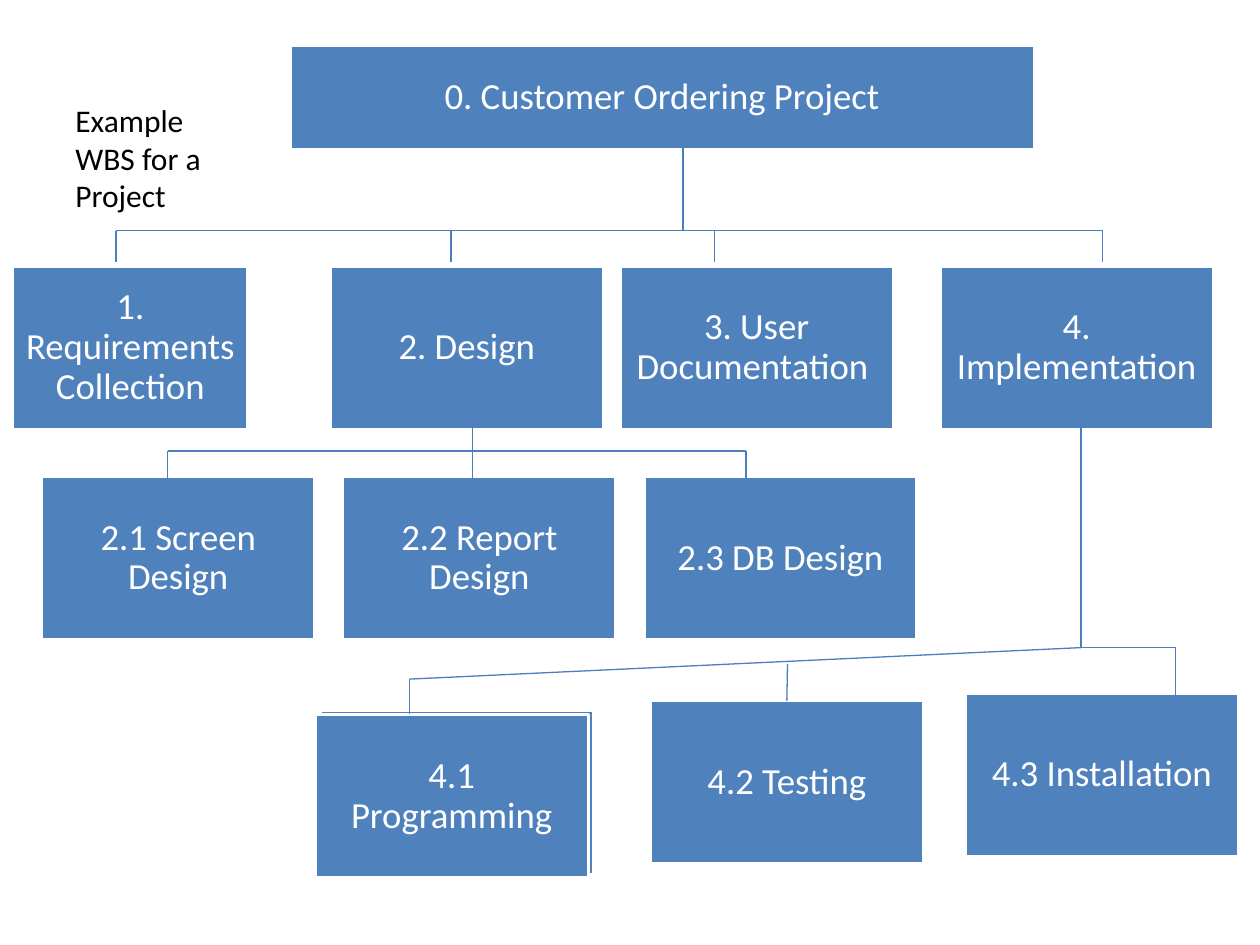
from lxml import etree
from pptx import Presentation
from pptx.dml.color import RGBColor
from pptx.enum.shapes import MSO_CONNECTOR, MSO_SHAPE
from pptx.enum.text import MSO_ANCHOR, PP_ALIGN
from pptx.oxml.ns import qn
from pptx.util import Pt

PX = 9144  # 100 px to the inch
RECT = MSO_SHAPE.RECTANGLE
STRAIGHT = MSO_CONNECTOR.STRAIGHT
MIDDLE = MSO_ANCHOR.MIDDLE
CENTER = PP_ALIGN.CENTER
BLUE = RGBColor(0x4F, 0x81, 0xBD)
EDGE = RGBColor(0x4B, 0x7E, 0xBC)
WHITE = RGBColor(0xFF, 0xFF, 0xFF)
BLACK = RGBColor(0, 0, 0)
FONT = "Calibri"
INSETS = dict.fromkeys(
    ("margin_left", "margin_top", "margin_right", "margin_bottom"), 9 * PX)

prs = Presentation()
prs.slide_width = 1000 * PX
prs.slide_height = 750 * PX
slide = prs.slides.add_slide(prs.slide_layouts[6])
shapes = slide.shapes


def add_box(text, x, y, w=217, h=130):
    box = shapes.add_shape(RECT, x * PX, y * PX, w * PX, h * PX)
    box.shadow.inherit = False
    box.fill.solid()
    box.fill.fore_color.rgb = BLUE
    box.line.color.rgb = WHITE
    box.line.width = Pt(2)
    frame = box.text_frame
    frame.word_wrap = True
    frame.vertical_anchor = MIDDLE
    for name, value in INSETS.items():
        setattr(frame, name, value)
    para = frame.paragraphs[0]
    para.alignment = CENTER
    para.line_spacing = 0.9
    if text:
        run = para.add_run()
        run.text = text
        run.font.name = FONT
        run.font.size = Pt(21)
        run.font.color.rgb = WHITE
    return box


def add_line(x1, y1, x2, y2):
    line = shapes.add_connector(STRAIGHT, x1 * PX, y1 * PX, x2 * PX, y2 * PX)
    line.line.color.rgb = EDGE
    line.line.width = Pt(0.75)
    etree.SubElement(line._element.spPr, qn("a:effectLst"))
    return line


# Project and its four phases
add_box("0. Customer Ordering Project", 230, 36, 591, 83)
add_box("1. Requirements Collection", 10, 211, 187)
for text, x in (("2. Design", 262), ("3. User Documentation ", 492),
                ("4. Implementation", 746)):
    add_box(text, x, 211)

# Design tasks
for i, text in enumerate(("2.1 Screen Design", "2.2 Report Design",
                          "2.3 DB Design")):
    add_box(text, 33 + 239 * i, 378)

# Implementation tasks, the first one in front of an empty box
add_box("", 254, 564)
add_box("4.1 Programming", 250, 567)
test = add_box("4.2 Testing", 516, 556)
add_box("4.3 Installation", 766, 550)

# Lines from the project to the phases
add_line(542, 117, 542, 183)
add_line(92, 183, 875, 183)
for x in (92, 358, 567, 875):
    add_line(x, 183, x, 208)

# Lines from the design phase
add_line(375, 333, 375, 383)
add_line(133, 358, 592, 358)
for x in (133, 592):
    add_line(x, 358, x, 383)

# Lines from the implementation phase
add_line(858, 333, 858, 514)
add_line(325, 539, 858, 514)
add_line(858, 514, 933, 514)
add_line(325, 539, 325, 567)
add_line(625, 527, 625, 556).end_connect(test, 0)
add_line(933, 514, 933, 553)

# Caption
note = shapes.add_textbox(50 * PX, 75 * PX, 127 * PX, 101 * PX)
frame = note.text_frame
frame.word_wrap = False
for i, text in enumerate(("Example", "WBS for a", "Project")):
    para = frame.add_paragraph() if i else frame.paragraphs[0]
    run = para.add_run()
    run.text = text
    run.font.name = FONT
    run.font.size = Pt(18)
    run.font.color.rgb = BLACK

prs.save("out.pptx")
